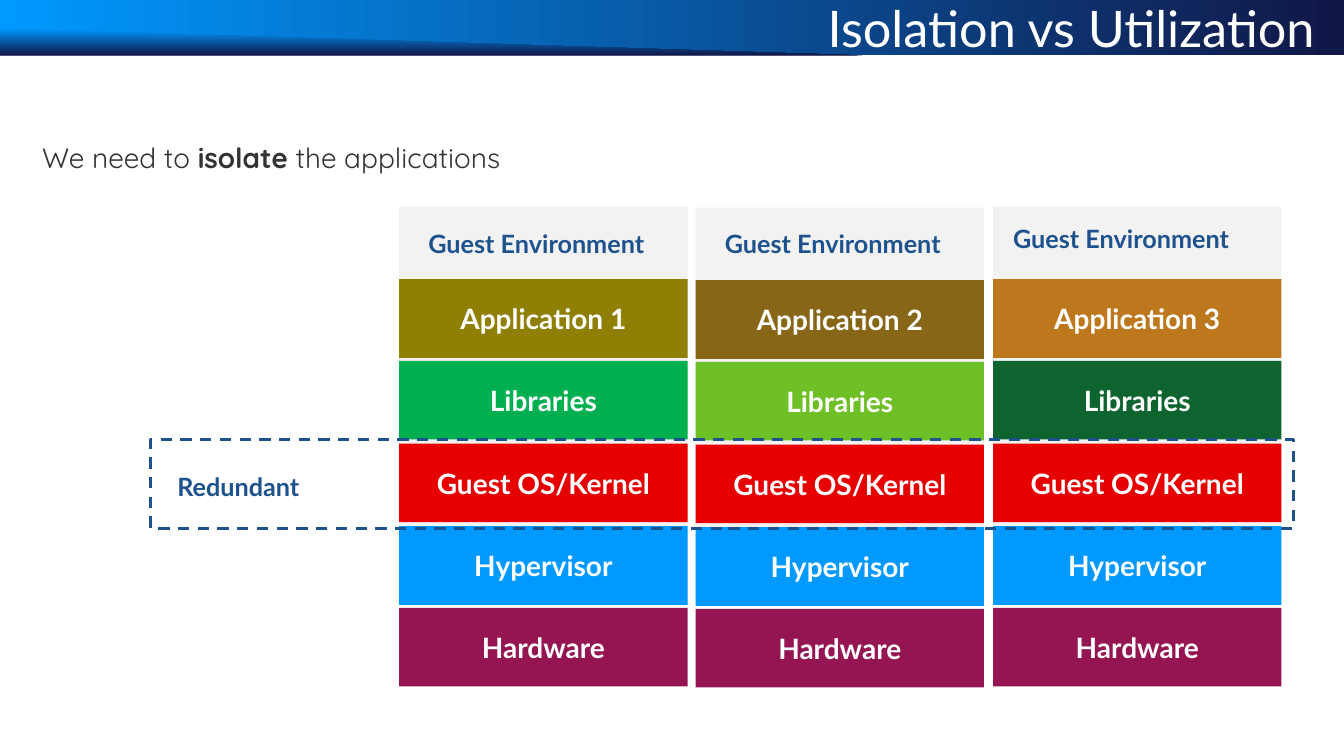
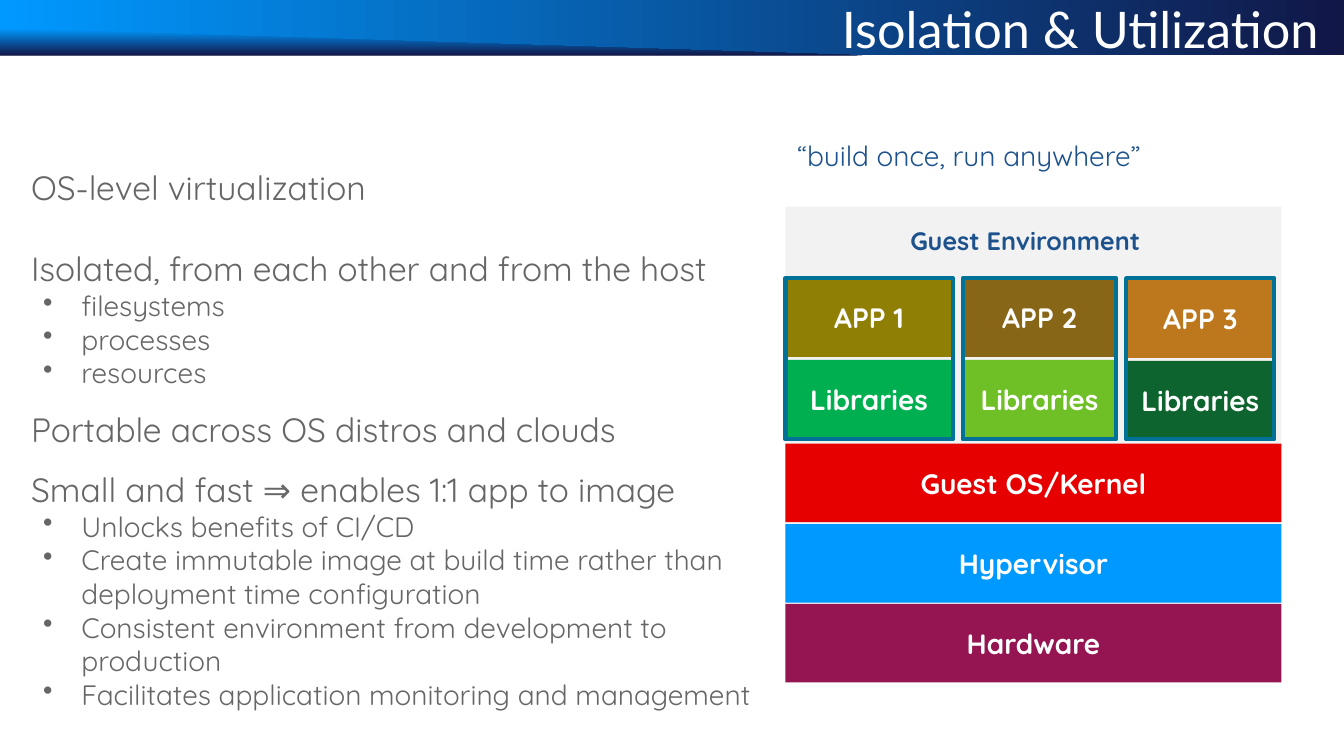
from dataclasses import dataclass

from lxml.etree import SubElement
from pptx import Presentation
from pptx.dml.color import RGBColor
from pptx.enum.dml import MSO_LINE_DASH_STYLE as Dash
from pptx.enum.shapes import MSO_SHAPE as Shape
from pptx.enum.text import MSO_ANCHOR as Anchor, PP_ALIGN as Align
from pptx.oxml.ns import qn
from pptx.util import Inches, Pt


@dataclass(frozen=True)
class Theme:
    lato: str = "Lato"
    quicksand: str = "Quicksand"
    white: str = "FFFFFF"
    panel: str = "F2F2F2"
    sky: str = "0099FF"
    night: str = "111747"
    accent: str = "1D528D"
    frame: str = "007197"
    ink: str = "333336"
    gray: str = "666666"
    kernel: str = "E60000"
    hardware: str = "941551"
    title: int = 36
    heading: int = 24
    body: int = 20
    label: int = 18


@dataclass(frozen=True)
class Box:
    x: float
    y: float
    w: float
    h: float

    def lengths(self) -> tuple:
        return tuple(Inches(v) for v in (self.x, self.y, self.w, self.h))


@dataclass(frozen=True)
class Stack:
    x: float
    w: float
    dy: float
    app: str
    app_color: str
    lib_color: str
    label_x: float = 0
    label_y: float = 0


@dataclass(frozen=True)
class Line:
    text: str
    bullet: bool = False
    before: int = 0


T = Theme()
LAYER_H = 0.78
PANEL_TOP, PANEL_H = 2.05, 3.94
VM_TOPS = (2.77, 3.58, 4.4, 5.22, 6.03)
CONTAINER_TOPS = (2.76, 3.57, 4.4, 5.2, 5.99)
SHARED_LAYERS = (
    ("Guest OS/Kernel", T.kernel),
    ("Hypervisor", T.sky),
    ("Hardware", T.hardware),
)
VM_STACKS = (
    Stack(3.96, 2.86, 0, "Application 1", "8F7F05", "00B050", 4.15, 2.22),
    Stack(6.9, 2.86, 0.01, "Application 2", "876717", "6FBF27", 7.09, 2.22),
    Stack(9.85, 2.86, 0, "Application 3", "BD781D", "0E642E", 9.95, 2.17),
)
CONTAINERS = (
    Stack(7.79, 1.66, 0, "APP 1", "8F7F05", "00B050"),
    Stack(9.55, 1.52, 0, "APP 2", "876717", "6FBF27"),
    Stack(11.17, 1.47, 0.01, "APP 3", "BD781D", "0E642E"),
)
BENEFITS = (
    Line("OS-level virtualization"),
    Line("Isolated, from each other and from the host", before=29),
    Line("filesystems", bullet=True),
    Line("processes", bullet=True),
    Line("resources", bullet=True),
    Line("Portable across OS distros and clouds", before=14),
    Line("Small and fast ⇒ enables 1:1 app to image", before=14),
    Line("Unlocks benefits of CI/CD", bullet=True),
    Line("Create immutable image at build time rather than "
         "deployment time configuration", bullet=True),
    Line("Consistent environment from development to production", bullet=True),
    Line("Facilitates application monitoring and management", bullet=True),
)


def rgb(color: str) -> RGBColor:
    return RGBColor.from_string(color)


def style(p, font: str, size: int, color: str, bold: bool = False) -> None:
    for r in p.runs:
        r.font.name = font
        r.font.size = Pt(size)
        r.font.color.rgb = rgb(color)
        r.font.bold = bold


def fill_gradient(sp, angle: int) -> None:
    sp.shadow.inherit = False
    sp.fill.gradient()
    sp.fill.gradient_angle = angle
    for stop, color in zip(sp.fill.gradient_stops, (T.sky, T.night)):
        stop.color.rgb = rgb(color)
    sp.line.fill.background()


def add_rect(s, box: Box, color: str):
    sp = s.shapes.add_shape(Shape.RECTANGLE, *box.lengths())
    sp.shadow.inherit = False
    sp.fill.solid()
    sp.fill.fore_color.rgb = rgb(color)
    sp.line.fill.background()
    return sp


def add_frame(s, box: Box, color: str, width: int):
    sp = s.shapes.add_shape(Shape.RECTANGLE, *box.lengths())
    sp.shadow.inherit = False
    sp.fill.background()
    sp.line.color.rgb = rgb(color)
    sp.line.width = Pt(width)
    return sp


def add_layer(s, box: Box, text: str, color: str, font: str) -> None:
    tf = add_rect(s, box, color).text_frame
    tf.text = text
    tf.vertical_anchor = Anchor.MIDDLE
    p = tf.paragraphs[0]
    p.alignment = Align.CENTER
    style(p, font, T.body, T.white, True)


def add_text(s, box: Box, text: str, font: str, size: int, color: str,
             bold: bool = False):
    tf = s.shapes.add_textbox(*box.lengths()).text_frame
    tf.word_wrap = True
    tf.text = text
    style(tf.paragraphs[0], font, size, color, bold)
    return tf


def add_label(s, box: Box, text: str, font: str) -> None:
    add_text(s, box, text, font, T.label, T.accent, True)


def add_bullet(p) -> None:
    pPr = p._p.get_or_add_pPr()
    pPr.set("marL", str(Inches(0.5)))
    pPr.set("indent", str(Inches(-0.38)))
    SubElement(SubElement(pPr, qn("a:buClr")), qn("a:srgbClr")).set("val", T.gray)
    SubElement(pPr, qn("a:buChar")).set("char", "•")


def add_benefits(s, box: Box) -> None:
    tf = s.shapes.add_textbox(*box.lengths()).text_frame
    tf.word_wrap = True
    tf.margin_left = tf.margin_right = Inches(0.1)
    tf.margin_top = tf.margin_bottom = Inches(0.1)
    for i, line in enumerate(BENEFITS):
        p = tf.add_paragraph() if i else tf.paragraphs[0]
        p.text = line.text
        if line.bullet:
            add_bullet(p)
        if line.before:
            p.space_before = Pt(line.before)
        style(p, T.quicksand, T.body if line.bullet else T.heading, T.gray)


def add_slide(prs, title: str, box: Box):
    s = prs.slides.add_slide(prs.slide_layouts[6])
    band = add_rect(s, Box(-0.01, 0, 13.35, 0.55), T.sky)
    fill_gradient(band, 0)
    fb = s.shapes.build_freeform(Inches(-0.02), Inches(0.28))
    fb.add_line_segments([(Inches(8.55), Inches(0.55)),
                          (Inches(-0.02), Inches(0.55))])
    fill_gradient(fb.convert_to_shape(), 270)
    tf = add_text(s, box, title, T.lato, T.title, T.white)
    tf.vertical_anchor = Anchor.MIDDLE
    tf.margin_left = tf.margin_right = Inches(0.13)
    tf.margin_top = tf.margin_bottom = Inches(0.07)
    return s


def build_isolation(prs) -> None:
    s = add_slide(prs, "Isolation vs Utilization", Box(8.08, -0.03, 5.54, 0.6))
    tf = add_text(s, Box(0.32, 1.34, 11.96, 0.44), "We need to ",
                  T.quicksand, T.body, T.ink)
    p = tf.paragraphs[0]
    for text in ("isolate", " the applications"):
        p.add_run().text = text
    style(p, T.quicksand, T.body, T.ink)
    p.runs[1].font.bold = True
    for st in VM_STACKS:
        add_rect(s, Box(st.x, PANEL_TOP + st.dy, st.w, PANEL_H), T.panel)
        layers = ((st.app, st.app_color), ("Libraries", st.lib_color),
                  *SHARED_LAYERS)
        for top, (text, color) in zip(VM_TOPS, layers):
            add_layer(s, Box(st.x, top + st.dy, st.w, LAYER_H),
                      text, color, T.lato)
        add_label(s, Box(st.label_x, st.label_y, 2.48, 0.4),
                  "Guest Environment", T.lato)
    redundant = add_frame(s, Box(1.49, 4.36, 11.34, 0.88), T.accent, 2)
    redundant.line.dash_style = Dash.DASH
    add_label(s, Box(1.66, 4.63, 2.12, 0.4), "Redundant", T.lato)


def build_containers(prs) -> None:
    s = add_slide(prs, "Isolation & Utilization", Box(8.22, 0.01, 5.27, 0.54))
    x, w = 7.79, 4.92
    add_rect(s, Box(x, PANEL_TOP, w, PANEL_H), T.panel)
    for top, (text, color) in zip(CONTAINER_TOPS[2:], SHARED_LAYERS):
        add_layer(s, Box(x, top, w, LAYER_H), text, color, T.quicksand)
    add_label(s, Box(8.93, 2.19, 2.63, 0.4), "Guest Environment", T.quicksand)
    add_text(s, Box(7.81, 1.33, 4.1, 0.44), "“build once, run anywhere”",
             T.quicksand, T.body, T.accent)
    add_benefits(s, Box(0.21, 1.56, 7.85, 5.55))
    for st in CONTAINERS:
        layers = ((st.app, st.app_color), ("Libraries", st.lib_color))
        for top, (text, color) in zip(CONTAINER_TOPS, layers):
            add_layer(s, Box(st.x, top + st.dy, st.w, LAYER_H),
                      text, color, T.quicksand)
        add_frame(s, Box(st.x, CONTAINER_TOPS[0], st.w, 1.6), T.frame, 3)


def main() -> None:
    prs = Presentation()
    prs.slide_width, prs.slide_height = Inches(13.33), Inches(7.5)
    build_isolation(prs)
    build_containers(prs)
    prs.save("out.pptx")


if __name__ == "__main__":
    main()
